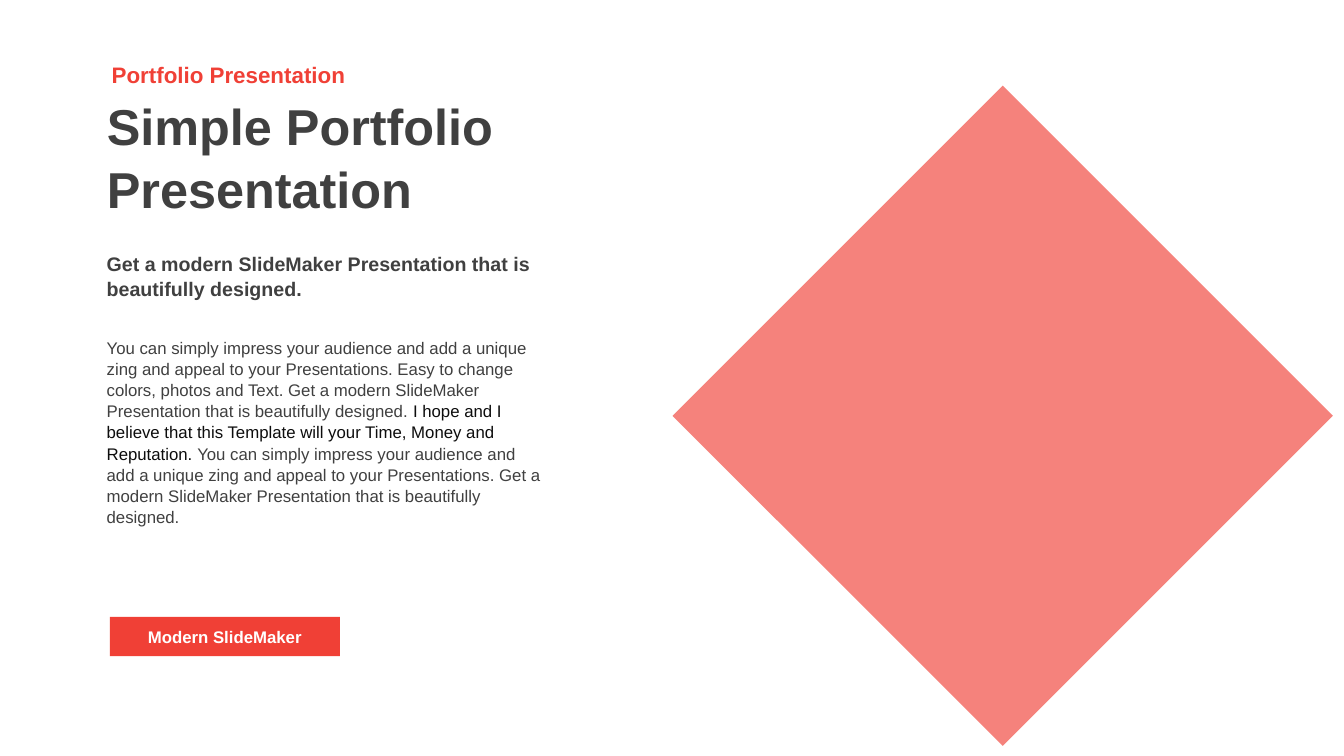
from pptx import Presentation
from pptx.dml.color import RGBColor
from pptx.enum.shapes import MSO_SHAPE
from pptx.enum.text import MSO_ANCHOR, PP_ALIGN
from pptx.oxml.xmlchemy import OxmlElement
from pptx.util import Inches, Pt

RED, GRAY, DARK, WHITE = "F04036", "404040", "0D0D0D", "FFFFFF"
LEFT, WIDE = 0.96, 4.54  # shared text column

PITCH = "Get a modern SlideMaker Presentation that is beautifully designed."
IMPRESS = ("You can simply impress your audience and add a unique zing "
           "and appeal to your Presentations. ")
EASY = "Easy to change colors, photos and Text. "
HOPE = (" I hope and I believe that this Template will your Time, "
        "Money and Reputation. ")


def paint(color, value):
    color.rgb = RGBColor.from_string(value)


def place(shape, x, y, w, h):
    shape.left, shape.top = Inches(x), Inches(y)
    shape.width, shape.height = Inches(w), Inches(h)


def write(shape, lines, size=12, color=GRAY, bold=False,
          align=PP_ALIGN.LEFT, anchor=MSO_ANCHOR.TOP, space=None):
    """Each line is a list of runs: a text, or a (text, color) pair."""
    frame = shape.text_frame
    frame.word_wrap = True
    frame.vertical_anchor = anchor
    for i, line in enumerate(lines):
        para = frame.add_paragraph() if i else frame.paragraphs[0]
        para.alignment = align
        para.line_spacing = space
        for part in line:
            text, tint = (part, color) if isinstance(part, str) else part
            run = para.add_run()
            run.text = text
            run.font.name = "Arial"
            run.font.size = Pt(size)
            run.font.bold = bold
            paint(run.font.color, tint)


def add_text(slide, box, lines, **style):
    shape = slide.shapes.add_textbox(*map(Inches, box))
    write(shape, lines, **style)


def add_block(slide, kind, box, fill, alpha=None):
    shape = slide.shapes.add_shape(kind, *map(Inches, box))
    shape.shadow.inherit = False
    shape.line.fill.background()
    shape.fill.solid()
    paint(shape.fill.fore_color, fill)
    if alpha is not None:
        node = OxmlElement("a:alpha")
        node.set("val", str(alpha * 1000))
        shape.fill._xPr.find(".//{*}srgbClr").append(node)
    return shape


def main():
    deck = Presentation()
    deck.slide_width, deck.slide_height = Inches(13.33), Inches(7.5)
    slide = deck.slides.add_slide(deck.slide_layouts[5])

    # Diamond on the right
    add_block(slide, MSO_SHAPE.DIAMOND, (6.67, 0.85, 6.55, 6.55), RED, 65)

    # Heading
    title = slide.shapes.title
    place(title, LEFT, 0.86, WIDE, 1.31)
    write(title, [["Simple Portfolio"], ["Presentation"]],
          size=36, bold=True, space=1.05)
    add_text(slide, (1.01, 0.52, 3.39, 0.43), [["Portfolio Presentation"]],
             size=16, color=RED, bold=True, anchor=MSO_ANCHOR.MIDDLE)

    # Lead and body
    add_text(slide, (LEFT, 2.44, WIDE, 0.57), [[PITCH]],
             size=14, bold=True, space=1.05)
    add_text(slide, (LEFT, 3.29, WIDE, 1.92),
             [[IMPRESS + EASY + PITCH, (HOPE, DARK), IMPRESS + PITCH]],
             space=1.05)

    # Button
    button = add_block(slide, MSO_SHAPE.RECTANGLE, (1.09, 6.12, 2.28, 0.39), RED)
    write(button, [["Modern SlideMaker"]], color=WHITE, bold=True,
          align=PP_ALIGN.CENTER, anchor=MSO_ANCHOR.MIDDLE)

    deck.save("out.pptx")


if __name__ == "__main__":
    main()
